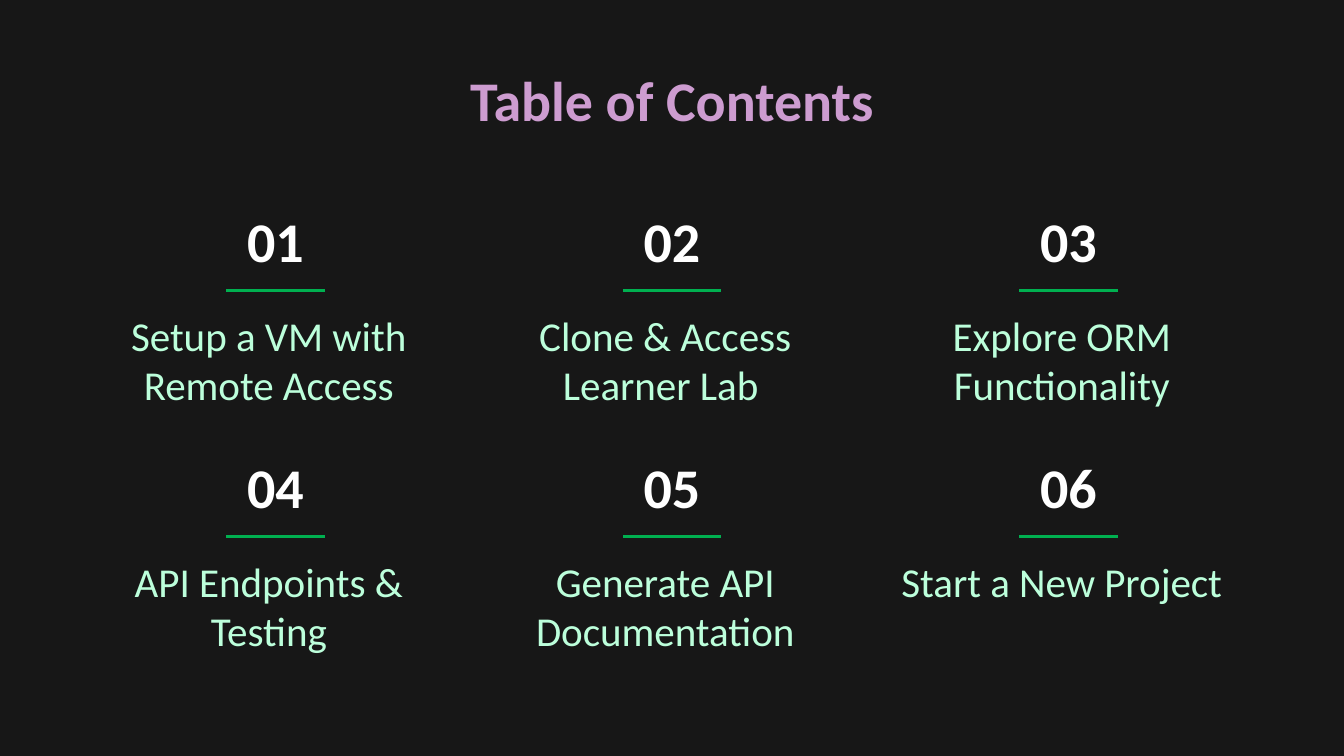
from dataclasses import dataclass

from lxml import etree
from pptx import Presentation
from pptx.dml.color import RGBColor
from pptx.enum.shapes import MSO_CONNECTOR
from pptx.enum.text import MSO_ANCHOR, MSO_AUTO_SIZE, PP_ALIGN
from pptx.oxml.ns import qn
from pptx.slide import Slide
from pptx.util import Inches, Pt

CENTER = PP_ALIGN.CENTER
TOP, BOTTOM = MSO_ANCHOR.TOP, MSO_ANCHOR.BOTTOM
NO_AUTOFIT = MSO_AUTO_SIZE.NONE
STRAIGHT = MSO_CONNECTOR.STRAIGHT
TITLE_ONLY = 5

SLIDE_WIDTH = 10
SLIDE_HEIGHT = SLIDE_WIDTH * 9 / 16

# Agenda grid, in inches: centre of the first column, top of the first row, steps
FIRST_CENTER, FIRST_TOP = 2.05, 1.45
COLUMN_STEP, ROW_STEP = 2.95, 1.83
COLUMNS = 3

TOPICS = [
    "Setup a VM with Remote Access",
    "Clone & Access Learner Lab ",
    "Explore ORM Functionality",
    "API Endpoints & Testing",
    "Generate API Documentation",
    "Start a New Project",
]


def color(hex_code):
    return RGBColor.from_string(hex_code)


def write(shape, text, *, size, fill, bold=False, anchor=TOP, font="Calibri"):
    frame = shape.text_frame
    frame.word_wrap = True
    frame.auto_size = NO_AUTOFIT
    frame.vertical_anchor = anchor
    frame.margin_left = frame.margin_right = Inches(0.1)
    frame.margin_top = frame.margin_bottom = Inches(0.1)
    paragraph = frame.paragraphs[0]
    paragraph.alignment = CENTER
    run = paragraph.add_run()
    run.text = text
    run.font.name = font
    run.font.size = Pt(size)
    run.font.bold = bold
    run.font.color.rgb = color(fill)


@dataclass
class AgendaSlide:
    slide: Slide
    background: str = "171717"
    title_color: str = "CD9CD0"
    number_color: str = "FFFFFF"
    topic_color: str = "BCFFDB"
    rule_color: str = "00B050"
    heading_size: int = 30
    topic_size: int = 22

    def paint_background(self):
        fill = self.slide.background.fill
        fill.solid()
        fill.fore_color.rgb = color(self.background)

    def title(self, text):
        title = self.slide.shapes.title
        title.left, title.top = Inches(0.79), Inches(0.39)
        title.width, title.height = Inches(8.42), Inches(0.63)
        write(title, text, size=self.heading_size, fill=self.title_color, bold=True)

    def centered_box(self, center, top, width, height):
        return self.slide.shapes.add_textbox(
            Inches(center - width / 2), Inches(top), Inches(width), Inches(height))

    def number(self, text, center, top):
        write(self.centered_box(center, top, 0.8, 0.69), text, anchor=BOTTOM,
              size=self.heading_size, fill=self.number_color, bold=True)

    def rule(self, center, y, width=0.73):
        rule = self.slide.shapes.add_connector(
            STRAIGHT, Inches(center - width / 2), Inches(y),
            Inches(center + width / 2), Inches(y))
        rule.line.color.rgb = color(self.rule_color)
        rule.line.width = Pt(1.5)
        etree.SubElement(rule._element.spPr, qn("a:effectLst"))

    def topic(self, text, center, top):
        write(self.centered_box(center, top, 2.62, 0.88), text,
              size=self.topic_size, fill=self.topic_color)

    def entry(self, index, text):
        """Place a number, its rule and its topic in the grid cell for index."""
        row, column = divmod(index, COLUMNS)
        center = FIRST_CENTER + column * COLUMN_STEP
        top = FIRST_TOP + row * ROW_STEP
        self.number(f"{index + 1:02}", center, top)
        self.rule(center, top + 0.71)
        self.topic(text, center - 0.05, top + 0.76)


def main():
    deck = Presentation()
    deck.slide_width, deck.slide_height = Inches(SLIDE_WIDTH), Inches(SLIDE_HEIGHT)
    agenda = AgendaSlide(deck.slides.add_slide(deck.slide_layouts[TITLE_ONLY]))
    agenda.paint_background()
    agenda.title("Table of Contents")
    for index, topic in enumerate(TOPICS):
        agenda.entry(index, topic)
    deck.save("out.pptx")


if __name__ == "__main__":
    main()
